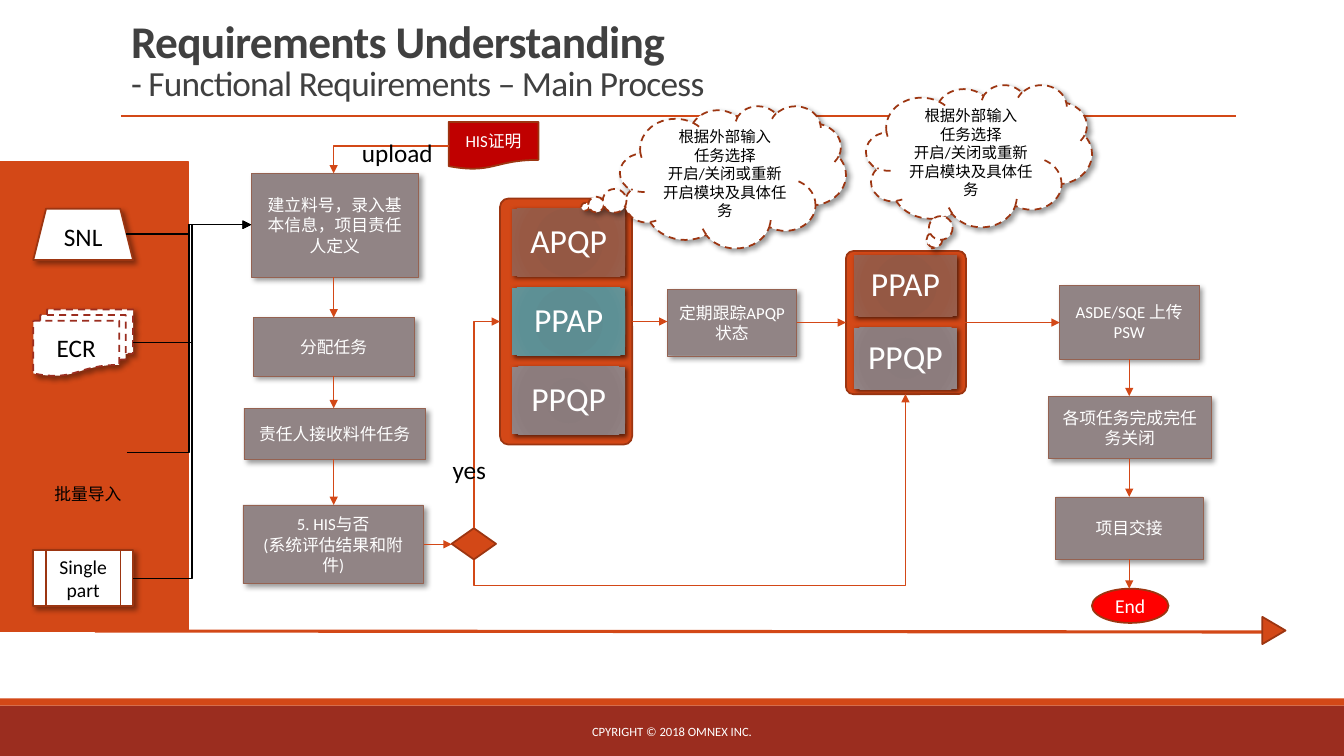
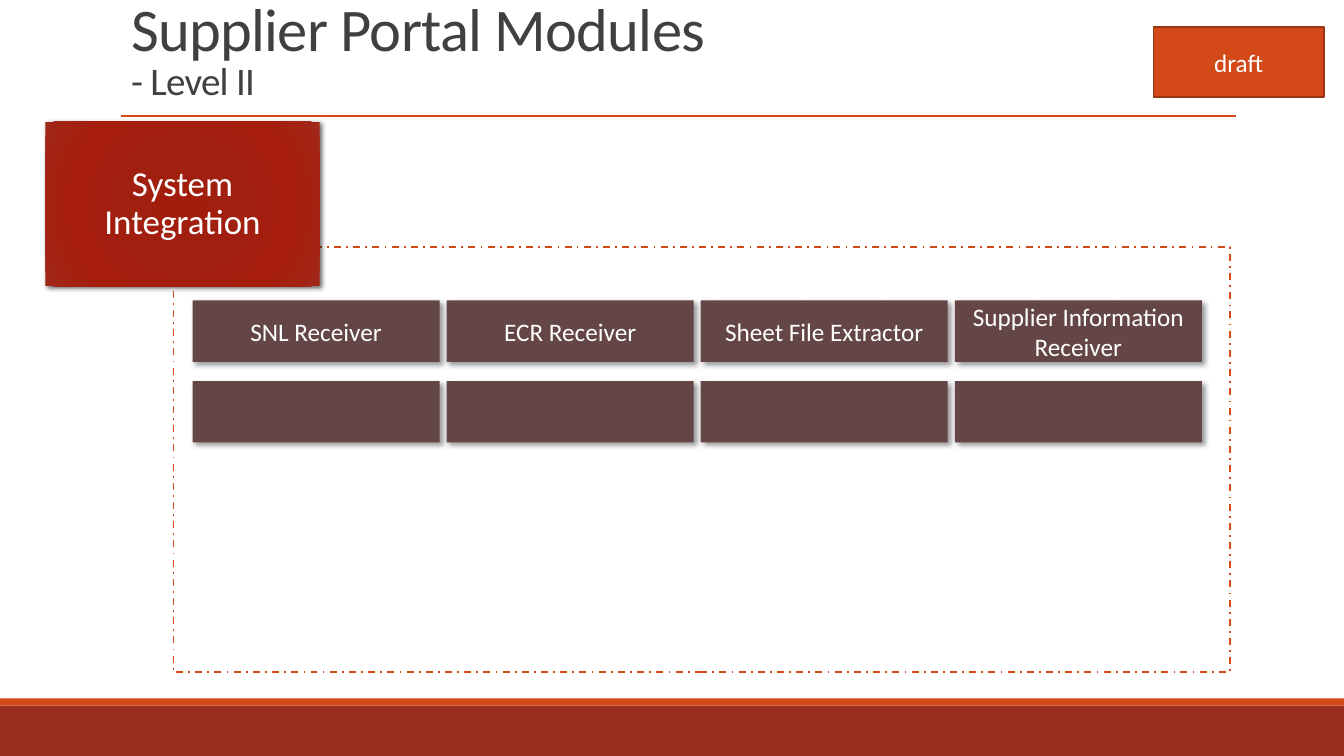
import pptx
import pptx.util
from lxml import etree
from pptx.dml.color import RGBColor
from pptx.enum.dml import MSO_LINE
from pptx.enum.shapes import MSO_CONNECTOR, MSO_SHAPE
from pptx.enum.text import MSO_ANCHOR, MSO_AUTO_SIZE, PP_ALIGN
from pptx.oxml import parse_xml
from pptx.oxml.ns import nsdecls, qn
from pptx.util import Inches, Pt

COLORS = {
    "brick": "9B2D1F", "orange": "D34817", "rust": "9C3511", "title": "404040",
    "step": "918485", "step_line": "956251", "module": "644646",
    "crimson": "C00000", "red": "FF0000", "white": "FFFFFF", "black": "000000",
}
GRADIENTS = {
    "brown": ("945742", "945844", "985944", "98604E"),
    "teal": ("5B8C91", "5D8D92", "5D9095", "669397"),
    "gray": ("89797A", "8A7B7C", "8C7C7D", "928384"),
    "scarlet": ("A21D0C", "A01F0F", "A61D0C", "A12819"),
}
GRADIENT_STOPS = (0, 34, 70, 100)
FONT = "Calibri"
# Shadows: opacity in percent, blur and distance in points
SOFT = (40, 4, 3)
CARD = (60, 3.5, 2)

# Slide 1
PROCESS_TITLE = [("Requirements Understanding", 32.4, True),
                 ("- Functional Requirements – Main Process", 25.2, False)]
COPYRIGHT = "CPYRIGHT © 2018 OMNEX INC."
INPUTS = [
    (MSO_SHAPE.FLOWCHART_MULTIDOCUMENT, (0.33, 3.07, 0.99, 0.66), "ECR", 18, "brick", True),
    (MSO_SHAPE.TRAPEZOID, (0.33, 2.07, 0.99, 0.51), "SNL", 18, "rust", False),
    (MSO_SHAPE.FLOWCHART_PREDEFINED_PROCESS, (0.33, 5.46, 0.99, 0.55), "Single part", 14,
     "rust", False),
]
STEPS = [
    ((2.49, 1.72, 1.66, 1.03), "建立料号，录入基本信息，项目责任人定义"),
    ((2.51, 3.15, 1.6, 0.58), "分配任务"),
    ((2.42, 4.05, 1.8, 0.51), "责任人接收料件任务"),
    ((2.41, 5.01, 1.79, 0.78), "5. HIS与否\n(系统评估结果和附件)"),
    ((6.62, 2.87, 1.28, 0.66), "定期跟踪APQP状态"),
    ((10.51, 2.83, 1.38, 0.73), "ASDE/SQE 上传PSW"),
    ((10.4, 3.93, 1.61, 0.62), "各项任务完成完任务关闭"),
    ((10.47, 4.93, 1.46, 0.62), "项目交接"),
]
# Frame, first card, card pitch, cards
STACKS = [
    ((4.96, 1.97, 1.31, 2.44), (5.08, 2.07, 1.12, 0.67), 0.785,
     [("APQP", "brown"), ("PPAP", "teal"), ("PPQP", "gray")]),
    ((8.39, 2.49, 1.19, 1.42), (8.47, 2.53, 1.02, 0.61), 0.72,
     [("PPAP", "brown"), ("PPQP", "gray")]),
]
LABELS = [((0.44, 4.75, 0.88, 0.22), "批量导入", 12),
          ((3.49, 1.31, 0.91, 0.4), "upload", 18),
          ((4.39, 4.46, 0.54, 0.4), "yes", 18)]
CLOUD_TEXT = "根据外部输入\n任务选择\n开启/关闭或重新开启模块及具体任务"
CLOUDS = [((8.59, 0.84, 2.24, 1.41), None), ((6.15, 1.05, 2.24, 1.41), (-0.654, 0.21))]
INPUT_STARTS = [(1.25, 2.32), (1.32, 3.4), (1.26, 4.49), (1.32, 5.74)]
FIRST_STEP_ENTRY = (2.49, 2.23)
STRAIGHT_ARROWS = [
    ((3.31, 2.75), (3.31, 3.15)), ((3.31, 3.73), (3.31, 4.05)), ((3.31, 4.55), (3.31, 5.01)),
    ((4.21, 5.4), (4.48, 5.4)), ((6.27, 3.19), (6.62, 3.19)), ((7.9, 3.2), (8.39, 3.2)),
    ((9.57, 3.2), (10.51, 3.2)), ((11.2, 3.56), (11.2, 3.93)), ((11.2, 4.55), (11.2, 4.93)),
    ((11.2, 5.55), (11.2, 5.84)),
]

# Slide 2
MODULES_TITLE = [("Supplier Portal Modules", 43.2, False), ("- Level II", 27.9, False)]
MODULES = [["SNL Receiver", "ECR Receiver", "Sheet File Extractor",
            "Supplier Information Receiver"], [""] * 4]


def rgb(name):
    return RGBColor.from_string(COLORS[name])


def inches(values):
    return [Inches(v) for v in values]


def apply(target, formats):
    for name, value in formats.items():
        setattr(target, name, value)


def style_run(r, size, color, bold=False):
    apply(r.font, {"name": FONT, "size": Pt(size), "bold": bold})
    r.font.color.rgb = rgb(color)


def write(tf, text, size, color, align=PP_ALIGN.CENTER, spacing=None):
    for i, line in enumerate(text.split("\n")):
        p = tf.paragraphs[0] if i == 0 else tf.add_paragraph()
        apply(p, {"alignment": align, "line_spacing": spacing})
        r = p.add_run()
        r.text = line
        style_run(r, size, color)


def add_shadow(sp, opacity, blur, dist):
    sp._element.spPr.find(qn("a:effectLst")).append(parse_xml(
        f'<a:outerShdw {nsdecls("a")} blurRad="{Pt(blur)}" dist="{Pt(dist)}" dir="2700000" '
        f'algn="tl" rotWithShape="0"><a:srgbClr val="{COLORS["black"]}">'
        f'<a:alpha val="{opacity * 1000}"/></a:srgbClr></a:outerShdw>'))


def fill_radial(sp, stops):
    sp.fill.gradient()
    grad = sp._element.spPr.find(qn("a:gradFill"))
    for child in list(grad):
        grad.remove(child)
    gs_list = etree.SubElement(grad, qn("a:gsLst"))
    for pos, color in zip(GRADIENT_STOPS, stops):
        gs = etree.SubElement(gs_list, qn("a:gs"), pos=str(pos * 1000))
        etree.SubElement(gs, qn("a:srgbClr"), val=color)
    circle = etree.SubElement(grad, qn("a:path"))
    circle.set("path", "circle")
    etree.SubElement(circle, qn("a:fillToRect"), {side: "100000" for side in "ltrb"})


def add_box(s, kind, at, text="", fill=None, line=None, width=1.25, dash=None,
            size=12, color="white", shadow=None, adj=None, spacing=None):
    sp = s.shapes.add_shape(kind, *inches(at))
    sp.shadow.inherit = False
    if fill in GRADIENTS:
        fill_radial(sp, GRADIENTS[fill])
    elif fill:
        sp.fill.solid()
        sp.fill.fore_color.rgb = rgb(fill)
    else:
        sp.fill.background()
    if line:
        sp.line.color.rgb = rgb(line)
        apply(sp.line, {"width": Pt(width), "dash_style": dash})
    else:
        sp.line.fill.background()
    if shadow:
        add_shadow(sp, *shadow)
    for i, value in enumerate(adj or ()):
        sp.adjustments[i] = value
    if text:
        sp.text_frame.word_wrap = True
        write(sp.text_frame, text, size, color, spacing=spacing)
    return sp


def add_card(s, at, text, fill, size):
    sp = add_box(s, MSO_SHAPE.RECTANGLE, at, text, fill, size=size, shadow=CARD, spacing=0.9)
    apply(sp.text_frame, dict.fromkeys(
        ("margin_left", "margin_right", "margin_top", "margin_bottom"), Inches(0.1)))


def add_label(s, at, text, size, color="black", **formats):
    tf = s.shapes.add_textbox(*inches(at)).text_frame
    tf.word_wrap = False
    write(tf, text, size, color, **formats)
    return tf


def add_line(s, start, end, color="orange", width=1, kind=MSO_CONNECTOR.STRAIGHT, arrow=False):
    c = s.shapes.add_connector(kind, *inches(start + end))
    c.line.color.rgb = rgb(color)
    c.line.width = Pt(width)
    if arrow:
        etree.SubElement(c.line._get_or_add_ln(), qn("a:tailEnd"), type="triangle")
    etree.SubElement(c._element.spPr, qn("a:effectLst"))
    return c


def add_elbow(s, start, end, color="orange", one_bend=False, vertical=False, adj=None):
    """Bent arrow; a vertical one leaves its start upwards or downwards."""
    if vertical:
        (x1, y1), (x2, y2) = start, end
        cx, cy, dx, dy = (x1 + x2) / 2, (y1 + y2) / 2, (x2 - x1) / 2, (y2 - y1) / 2
        start, end = (cx - dy, cy + dx), (cx + dy, cy - dx)
    c = add_line(s, start, end, color, kind=MSO_CONNECTOR.ELBOW, arrow=True)
    spPr = c._element.spPr
    if vertical:
        spPr.find(qn("a:xfrm")).set("rot", "5400000")
    geom = spPr.find(qn("a:prstGeom"))
    if one_bend:
        geom.set("prst", "bentConnector2")
    if adj is not None:
        guides = geom.find(qn("a:avLst"))
        if guides is None:
            guides = etree.SubElement(geom, qn("a:avLst"))
        etree.SubElement(guides, qn("a:gd"), name="adj1", fmla=f"val {round(adj * 100000)}")


def add_slide(prs, title_lines):
    s = prs.slides.add_slide(prs.slide_layouts[5])
    title = s.shapes.title
    apply(title, dict(zip(("left", "top", "width", "height"), inches((1.2, 0.27, 11, 0.81)))))
    tf = title.text_frame
    apply(tf, {"word_wrap": True, "auto_size": MSO_AUTO_SIZE.NONE,
               "vertical_anchor": MSO_ANCHOR.BOTTOM})
    p = tf.paragraphs[0]
    apply(p, {"alignment": PP_ALIGN.LEFT, "line_spacing": 0.85})
    for i, (text, size, bold) in enumerate(title_lines):
        if i:
            p.add_line_break()
            etree.SubElement(p._p[-1], qn("a:rPr"), sz=str(round(title_lines[0][1] * 100)))
        r = p.add_run()
        r.text = text
        style_run(r, size, "title", bold)
        r.font._element.set("spc", "-50")
    add_box(s, MSO_SHAPE.RECTANGLE, (0, 7, 13.33, 0.5), fill="brick")
    add_box(s, MSO_SHAPE.RECTANGLE, (0, 6.93, 13.33, 0.07), fill="orange")
    add_line(s, (1.2, 1.15), (12.26, 1.15))
    return s


def build_process(prs):
    s = add_slide(prs, PROCESS_TITLE)
    add_box(s, MSO_SHAPE.RECTANGLE, (0, 1.61, 1.87, 4.65), fill="orange", line="orange")
    add_line(s, (0.94, 6.26), (12.52, 6.27), width=2.25)
    tip = add_box(s, MSO_SHAPE.ISOSCELES_TRIANGLE, (12.5, 6.14, 0.27, 0.23),
                  fill="orange", line="orange")
    tip.rotation = 90
    tip.line.color.rgb = rgb("rust")
    footer = add_label(s, (4.03, 7.06, 5.27, 0.4), COPYRIGHT, 9, "white")
    apply(footer, {"word_wrap": True, "vertical_anchor": MSO_ANCHOR.MIDDLE})

    for kind, at, text, size, line, dashed in INPUTS:
        add_box(s, kind, at, text, "white", line, dash=MSO_LINE.DASH if dashed else None,
                size=size, color="black", shadow=SOFT)
    for at, text in STEPS:
        add_box(s, MSO_SHAPE.RECTANGLE, at, text, "step", "step_line", 0.25, shadow=SOFT)
    for frame, (x, y, w, h), pitch, cards in STACKS:
        add_box(s, MSO_SHAPE.ROUNDED_RECTANGLE, frame, fill="orange", line="rust", adj=[0.062])
        for i, (text, fill) in enumerate(cards):
            add_card(s, (x, y + i * pitch, w, h), text, fill, 24)
    add_box(s, MSO_SHAPE.FLOWCHART_DOCUMENT, (4.45, 1.21, 0.89, 0.47), "HIS证明",
            "crimson", "rust")
    add_box(s, MSO_SHAPE.DIAMOND, (4.48, 5.24, 0.44, 0.31), fill="orange", line="rust")
    add_box(s, MSO_SHAPE.OVAL, (10.83, 5.84, 0.76, 0.34), "End", "red", "rust", size=14)

    for start in INPUT_STARTS:
        add_elbow(s, start, FIRST_STEP_ENTRY, "black")
    for start, end in STRAIGHT_ARROWS:
        add_line(s, start, end, arrow=True)
    add_elbow(s, (4.45, 1.45), (3.31, 1.72), one_bend=True)
    add_elbow(s, (4.7, 5.24), (4.96, 3.19), one_bend=True, vertical=True)
    add_elbow(s, (4.7, 5.56), (8.98, 3.91), vertical=True, adj=-0.15)
    for at, text, size in LABELS:
        add_label(s, at, text, size, align=PP_ALIGN.LEFT)
    for at, adj in CLOUDS:
        add_box(s, MSO_SHAPE.CLOUD_CALLOUT, at, CLOUD_TEXT, "white", "rust",
                dash=MSO_LINE.DASH, size=11, color="black", shadow=SOFT, adj=adj)


def build_modules(prs):
    s = add_slide(prs, MODULES_TITLE)
    add_box(s, MSO_SHAPE.RECTANGLE, (1.72, 2.45, 10.48, 4.22), line="orange",
            dash=MSO_LINE.DASH_DOT)
    add_card(s, (0.45, 1.21, 2.72, 1.63), "System Integration", "scarlet", 25)
    for row, names in enumerate(MODULES):
        for col, name in enumerate(names):
            add_box(s, MSO_SHAPE.RECTANGLE, (1.91 + 2.52 * col, 2.98 + 0.8 * row, 2.45, 0.61),
                    name, "module", size=18, shadow=SOFT)
    add_box(s, MSO_SHAPE.RECTANGLE, (11.44, 0.27, 1.69, 0.69), "draft", "orange", "rust", size=18)


def main():
    prs = pptx.Presentation()
    prs.slide_width, prs.slide_height = inches((13.33, 7.5))
    build_process(prs)
    build_modules(prs)
    prs.save("out.pptx")


if __name__ == "__main__":
    main()
